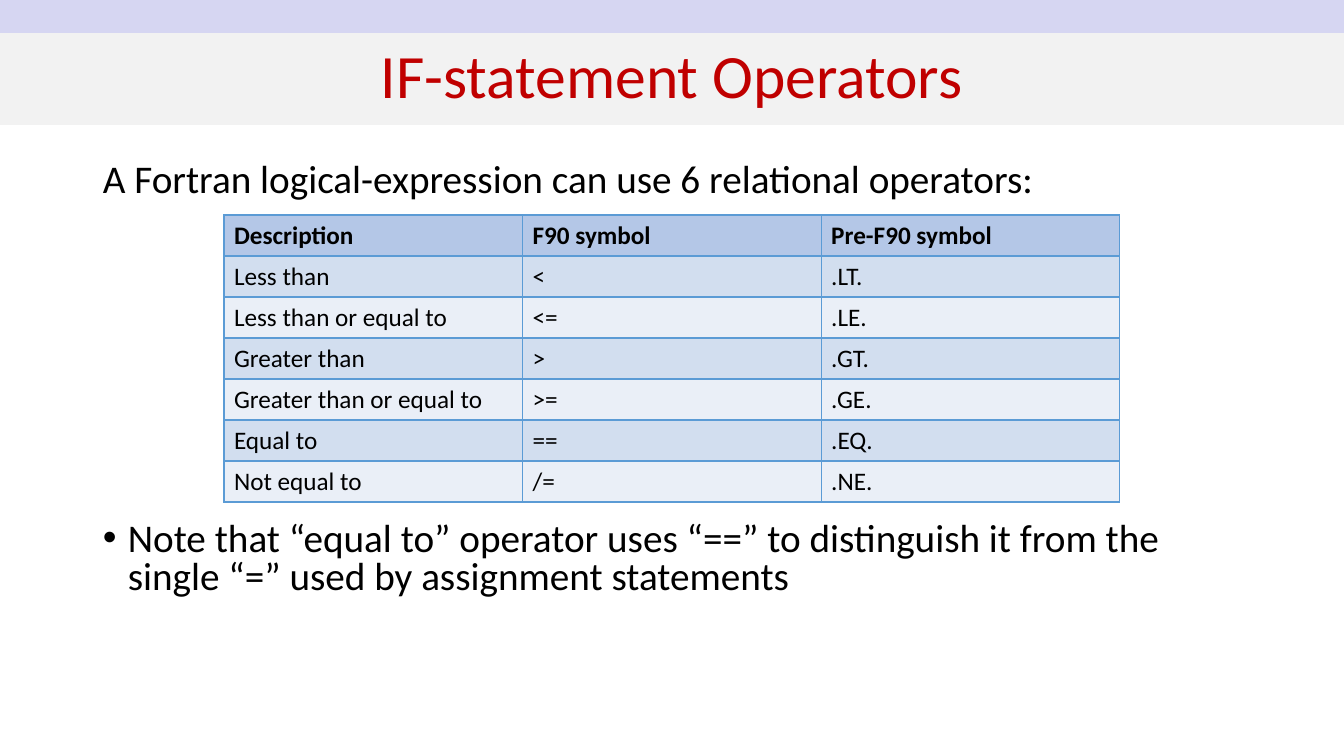
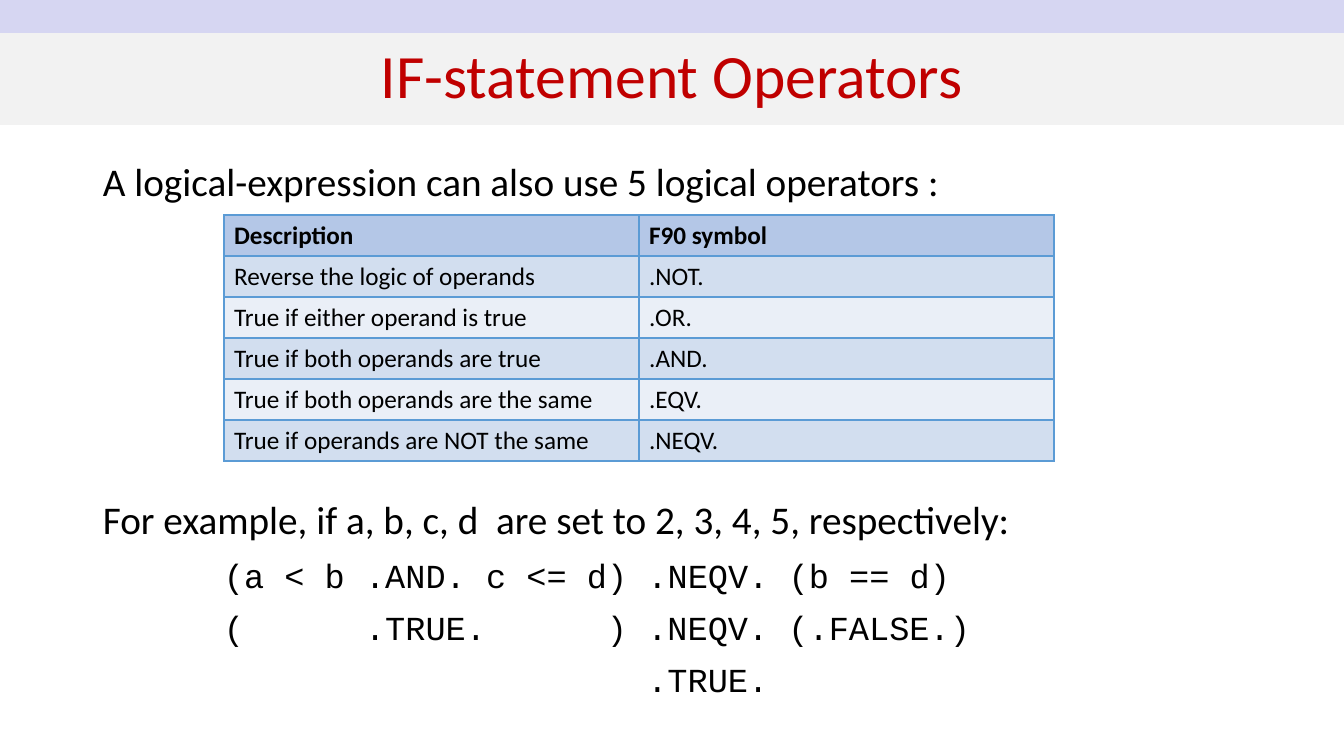
from dataclasses import dataclass

import lxml.etree
import pptx
import pptx.dml.color
import pptx.enum.shapes
import pptx.enum.text
import pptx.oxml.ns
import pptx.util


@dataclass(frozen=True)
class Theme:
    band: str = "D6D6F2"
    title_fill: str = "F2F2F2"
    title_text: str = "C00000"
    text: str = "000000"
    border: str = "5B9BD5"
    header: str = "B4C7E7"
    stripes: tuple = ("D2DEEF", "EAEFF7")
    font: str = "Calibri"
    code_font: str = "Courier New"
    title_size: int = 44
    body_size: int = 28
    code_size: int = 24
    table_size: int = 18


THEME = Theme()
WIDTH, HEIGHT = 1344, 756
BAND_HEIGHT, TITLE_HEIGHT = 33, 92
TABLE_LEFT, TABLE_TOP, ROW_HEIGHT = 224, 215, 41
CODE_LEFT, CODE_ADVANCE = 121, 20.16


def px(length):
    return pptx.util.Emu(round(length * 914400 / 100.8))


def color(value):
    return pptx.dml.color.RGBColor.from_string(value)


def child(parent, tag, **attributes):
    element = lxml.etree.SubElement(parent, pptx.oxml.ns.qn(tag))
    for name, value in attributes.items():
        element.set(name, str(value))
    return element


class Deck:
    def __init__(self, theme):
        self.theme = theme
        self.presentation = pptx.Presentation()
        self.presentation.slide_width = px(WIDTH)
        self.presentation.slide_height = px(HEIGHT)
        self.slide = None

    def add_slide(self, title):
        self.slide = self.presentation.slides.add_slide(self.presentation.slide_layouts[5])
        shape = self.slide.shapes.title
        shape.left, shape.top = px(0), px(BAND_HEIGHT)
        shape.width, shape.height = px(WIDTH), px(TITLE_HEIGHT)
        self.fill(shape, self.theme.title_fill)
        frame = shape.text_frame
        frame.vertical_anchor = pptx.enum.text.MSO_ANCHOR.MIDDLE
        paragraph = frame.paragraphs[0]
        paragraph.alignment = pptx.enum.text.PP_ALIGN.CENTER
        paragraph.line_spacing = 0.9
        self.add_run(paragraph, title, self.theme.title_size, self.theme.title_text)
        self.add_band()

    def add_band(self):
        band = self.slide.shapes.add_shape(
            pptx.enum.shapes.MSO_SHAPE.RECTANGLE, px(0), px(0), px(WIDTH), px(BAND_HEIGHT))
        band.shadow.inherit = False
        band.line.fill.background()
        self.fill(band, self.theme.band)

    def fill(self, target, value):
        target.fill.solid()
        target.fill.fore_color.rgb = color(value)

    def add_run(self, paragraph, text, size, value=None, bold=False, font=None):
        run = paragraph.add_run()
        run.text = text
        run.font.name = font or self.theme.font
        run.font.size = pptx.util.Pt(size)
        run.font.bold = bold
        run.font.color.rgb = color(value or self.theme.text)

    def add_body(self, height):
        box = self.slide.shapes.add_textbox(px(93), px(158), px(1159), px(height))
        box.text_frame.word_wrap = True
        return box.text_frame

    def add_paragraph(self, frame, spacing, before):
        paragraph = frame.paragraphs[0]
        if paragraph.runs:
            paragraph = frame.add_paragraph()
        paragraph.line_spacing = spacing
        paragraph.space_before = pptx.util.Pt(before)
        return paragraph

    def add_text(self, frame, text, spacing, before=0, bullet=False):
        paragraph = self.add_paragraph(frame, spacing, before)
        if bullet:
            properties = paragraph._p.get_or_add_pPr()
            properties.set("marL", str(px(25)))
            properties.set("indent", str(-px(25)))
            child(properties, "a:buFont", typeface="Arial")
            child(properties, "a:buChar", char="•")
        self.add_run(paragraph, text, self.theme.body_size)

    def add_code(self, frame, text, columns):
        paragraph = self.add_paragraph(frame, 0.9, 11.5)
        stops = child(paragraph._p.get_or_add_pPr(), "a:tabLst")
        for column in columns:
            child(stops, "a:tab", pos=px(CODE_LEFT + column * CODE_ADVANCE), algn="l")
        self.add_run(paragraph, text, self.theme.code_size, font=self.theme.code_font)

    def add_table(self, rows, column_width):
        count = len(rows[0])
        table = self.slide.shapes.add_table(
            len(rows), count, px(TABLE_LEFT), px(TABLE_TOP),
            px(column_width * count), px(ROW_HEIGHT * len(rows))).table
        table.first_row = table.horz_banding = False
        for column in table.columns:
            column.width = px(column_width)
        for row_index, row in enumerate(rows):
            table.rows[row_index].height = px(ROW_HEIGHT)
            is_header = row_index == 0
            shade = self.theme.header if is_header else self.theme.stripes[(row_index - 1) % 2]
            for column_index, text in enumerate(row):
                cell = table.cell(row_index, column_index)
                self.add_borders(cell)
                self.fill(cell, shade)
                self.add_run(cell.text_frame.paragraphs[0], text,
                             self.theme.table_size, bold=is_header)

    def add_borders(self, cell):
        properties = cell._tc.get_or_add_tcPr()
        for side in ("L", "R", "T", "B"):
            line = child(properties, "a:ln" + side, w=pptx.util.Pt(1))
            child(child(line, "a:solidFill"), "a:srgbClr", val=self.theme.border)


RELATIONAL = [
    ("Description", "F90 symbol", "Pre-F90 symbol"),
    ("Less than", "<", ".LT."),
    ("Less than or equal to", "<=", ".LE."),
    ("Greater than", ">", ".GT."),
    ("Greater than or equal to", ">=", ".GE."),
    ("Equal to", "==", ".EQ."),
    ("Not equal to", "/=", ".NE."),
]
LOGICAL = [
    ("Description", "F90 symbol"),
    ("Reverse the logic of operands", ".NOT."),
    ("True if either operand is true", ".OR."),
    ("True if both operands are true", ".AND."),
    ("True if both operands are the same", ".EQV."),
    ("True if operands are NOT the same", ".NEQV."),
]
EVALUATION = [
    ("\t(a < b .AND. c <= d) .NEQV. (b == d)", (0,)),
    ("\t(\t.TRUE.\t) .NEQV. (.FALSE.)", (0, 7, 19)),
    ("\t.TRUE.", (21,)),
]
TITLE = "IF-statement Operators"

deck = Deck(THEME)

deck.add_slide(TITLE)
body = deck.add_body(480)
deck.add_text(body, "A Fortran logical-expression can use 6 relational operators:", 0.8)
deck.add_text(body, "Note that “equal to” operator uses “==” to distinguish it from the "
              "single “=” used by assignment statements", 0.8, before=230, bullet=True)
deck.add_table(RELATIONAL, 298.6)

deck.add_slide(TITLE)
body = deck.add_body(567)
deck.add_text(body, "A logical-expression can also use 5 logical operators :", 0.9)
deck.add_text(body, "For example, if a, b, c, d  are set to 2, 3, 4, 5, respectively:",
              0.9, before=211)
for text, columns in EVALUATION:
    deck.add_code(body, text, columns)
deck.add_table(LOGICAL, 415)

deck.presentation.save("out.pptx")
